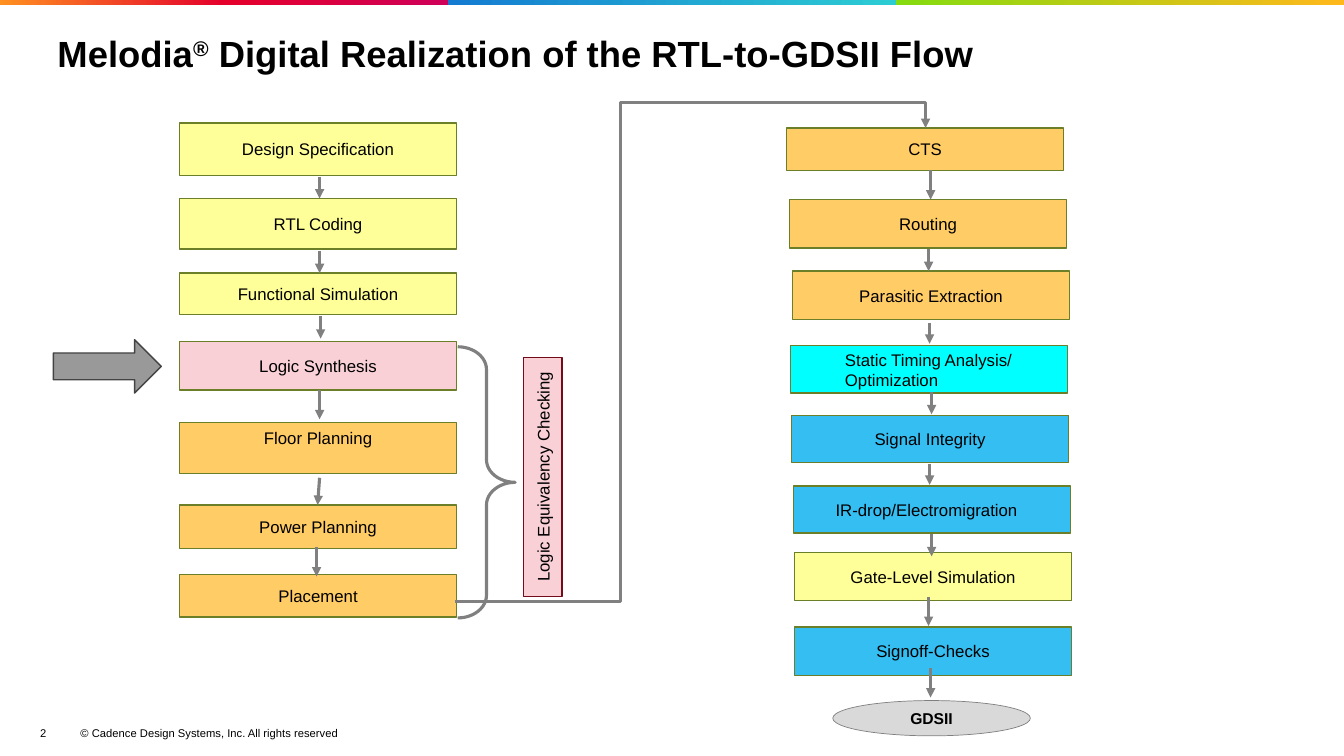
import copy

import lxml.etree
import pptx
import pptx.dml.color
import pptx.enum.shapes
import pptx.enum.text
import pptx.oxml.ns
import pptx.util

Inches = pptx.util.Inches
Pt = pptx.util.Pt
qn = pptx.oxml.ns.qn
SHAPE = pptx.enum.shapes.MSO_SHAPE
CONNECTOR = pptx.enum.shapes.MSO_CONNECTOR
ALIGN = pptx.enum.text.PP_ALIGN
ANCHOR = pptx.enum.text.MSO_ANCHOR

YELLOW, ORANGE, PINK = "FFFF99", "FFCC66", "FAD0D7"
CYAN, BLUE, GRAY, BLACK = "00FFFF", "34BEF2", "808080", "000000"


def paint(color_format, hex_color):
    color_format.rgb = pptx.dml.color.RGBColor.from_string(hex_color)


def write(shape, text, size, align=ALIGN.CENTER, bold=False, inset=0.05):
    """Fill a shape with middle-anchored Arial text, one paragraph per line."""
    frame = shape.text_frame
    frame.word_wrap = True
    frame.vertical_anchor = ANCHOR.MIDDLE
    frame.margin_left = frame.margin_right = Inches(inset)
    frame.margin_top = frame.margin_bottom = Inches(0.05)
    frame.text = text
    for paragraph in frame.paragraphs:
        paragraph.alignment = align
        paragraph.font.name = "Arial"
        paragraph.font.size = Pt(size)
        paragraph.font.bold = bold
        paint(paragraph.font.color, BLACK)


deck = pptx.Presentation()
deck.slide_width = Inches(13.33)
deck.slide_height = Inches(7.5)
slide = deck.slides.add_slide(deck.slide_layouts[5])
shapes = slide.shapes

# Colour band along the top edge
band_width = 13.33 / 3
bands = [("FF9021", "E4002B", "CE0058"), ("147BD1", "2DCCD3"), ("84DB0F", "FFB81C")]
for index, band_colors in enumerate(bands):
    band = shapes.add_shape(SHAPE.RECTANGLE, Inches(index * band_width), 0,
                            Inches(band_width), Inches(0.05))
    band.shadow.inherit = False
    band.line.fill.background()
    band.fill.gradient()
    band.fill.gradient_angle = 0
    stop_list = band.fill._fill._gradFill.find(qn("a:gsLst"))
    while len(stop_list) < len(band_colors):
        stop_list.append(copy.deepcopy(stop_list[-1]))
    for step, (stop, color) in enumerate(zip(band.fill.gradient_stops, band_colors)):
        stop.position = step / (len(band_colors) - 1)
        paint(stop.color, color)

# Title
title = shapes.title
title.left, title.top = Inches(0.47), Inches(0.19)
title.width, title.height = Inches(12.37), Inches(0.73)
write(title, "", 26, ALIGN.LEFT, bold=True, inset=0.1)
heading = title.text_frame.paragraphs[0]
heading.line_spacing = 0.9
for part in ("Melodia", "®", " Digital Realization of the RTL-to-GDSII Flow"):
    run = heading.add_run()
    run.text = part
    if part == "®":
        run.font._element.set("baseline", "30000")

# Flow steps: text, left, top, height, fill
steps = [
    ("Design Specification", 1.78, 1.22, 0.52, YELLOW),
    ("RTL Coding", 1.78, 1.97, 0.5, YELLOW),
    ("Functional Simulation", 1.78, 2.71, 0.41, YELLOW),
    ("Logic Synthesis", 1.78, 3.39, 0.48, PINK),
    ("Floor Planning", 1.78, 4.19, 0.51, ORANGE),
    ("Power Planning", 1.78, 5.01, 0.43, ORANGE),
    ("Placement", 1.78, 5.7, 0.42, ORANGE),
    ("CTS", 7.8, 1.27, 0.42, ORANGE),
    ("Routing", 7.83, 1.98, 0.48, ORANGE),
    ("Parasitic Extraction", 7.86, 2.69, 0.48, ORANGE),
    ("Static Timing Analysis/\nOptimization", 7.84, 3.43, 0.47, CYAN),
    ("Signal Integrity", 7.85, 4.12, 0.47, BLUE),
    ("IR-drop/Electromigration", 7.87, 4.82, 0.47, BLUE),
    ("Gate-Level Simulation", 7.88, 5.48, 0.48, YELLOW),
    ("Signoff-Checks", 7.88, 6.22, 0.48, BLUE),
]
for text, left, top, height, color in steps:
    step_box = shapes.add_shape(SHAPE.RECTANGLE, Inches(left), Inches(top),
                                Inches(2.75), Inches(height))
    step_box.shadow.inherit = False
    step_box.fill.solid()
    paint(step_box.fill.fore_color, color)
    paint(step_box.line.color, "6B7E28")
    step_box.line.width = Pt(1)
    write(step_box, text, 12)
    if text == "Floor Planning":
        step_box.text_frame.vertical_anchor = ANCHOR.TOP
    elif text.startswith("IR-drop"):
        step_box.text_frame.margin_right = Inches(0.16)
    elif "\n" in text:
        write(step_box, text, 12, ALIGN.LEFT, inset=0.54)

# Side shapes: kind, left, top, width, height, fill, line, line width
side_shapes = [
    (SHAPE.RECTANGLE, 4.2, 4.54, 2.37, 0.38, PINK, "720C1B", 1),
    (SHAPE.RIGHT_BRACE, 4.54, 3.44, 0.57, 2.69, None, GRAY, 2.25),
    (SHAPE.OVAL, 8.26, 6.95, 1.96, 0.35, "D9D9D9", GRAY, 0.5),
    (SHAPE.RIGHT_ARROW, 0.53, 3.37, 1.07, 0.53, "999999", "434343", 1),
]
drawn = []
for kind, left, top, width, height, fill, line, line_width in side_shapes:
    side_shape = shapes.add_shape(kind, Inches(left), Inches(top),
                                  Inches(width), Inches(height))
    side_shape.shadow.inherit = False
    if fill:
        side_shape.fill.solid()
        paint(side_shape.fill.fore_color, fill)
    else:
        side_shape.fill.background()
    paint(side_shape.line.color, line)
    side_shape.line.width = Pt(line_width)
    drawn.append(side_shape)
equivalency, brace, gdsii, current_step = drawn
equivalency.rotation = 270
write(equivalency, "Logic Equivalency Checking", 12)
brace.adjustments[0] = 0.395
write(gdsii, "GDSII", 11.2, bold=True)

# Arrows: start x, start y, end x, end y
arrows = [
    (3.17, 1.76, 3.17, 1.97), (3.17, 2.49, 3.17, 2.71), (3.18, 3.14, 3.18, 3.36),
    (3.17, 3.87, 3.17, 4.16), (3.17, 4.74, 3.15, 5.01), (3.14, 5.43, 3.14, 5.72),
    (9.23, 1.69, 9.23, 1.98), (9.21, 2.47, 9.21, 2.69), (9.22, 3.2, 9.22, 3.41),
    (9.24, 3.89, 9.24, 4.11), (9.22, 4.6, 9.22, 4.81), (9.24, 5.3, 9.24, 5.52),
    (9.21, 5.92, 9.21, 6.21), (9.23, 6.63, 9.23, 6.92),
    (4.51, 5.97, 9.18, 1.27),
]
for start_x, start_y, end_x, end_y in arrows:
    to_next_column = end_x - start_x > 1
    kind = CONNECTOR.ELBOW if to_next_column else CONNECTOR.STRAIGHT
    arrow = shapes.add_connector(kind, Inches(start_x), Inches(start_y),
                                 Inches(end_x), Inches(end_y))
    paint(arrow.line.color, GRAY)
    arrow.line.width = Pt(2.25)
    properties = arrow._element.spPr
    line_xml = properties.find(qn("a:ln"))
    lxml.etree.SubElement(line_xml, qn("a:tailEnd"), type="triangle")
    lxml.etree.SubElement(properties, qn("a:effectLst"))
    if to_next_column:
        geometry = properties.find(qn("a:prstGeom"))
        geometry.set("prst", "bentConnector4")
        bends = geometry.find(qn("a:avLst"))
        for name, value in (("adj1", 35300), ("adj2", 105300)):
            lxml.etree.SubElement(bends, qn("a:gd"), name=name, fmla=f"val {value}")

# Footer
footer = [("2", 0.3, 0.4), ("© Cadence Design Systems, Inc. All rights reserved", 0.7, 3)]
for text, left, width in footer:
    note = shapes.add_textbox(Inches(left), Inches(7.15), Inches(width), Inches(0.25))
    write(note, text, 8, ALIGN.LEFT, inset=0.1)

deck.save("out.pptx")
